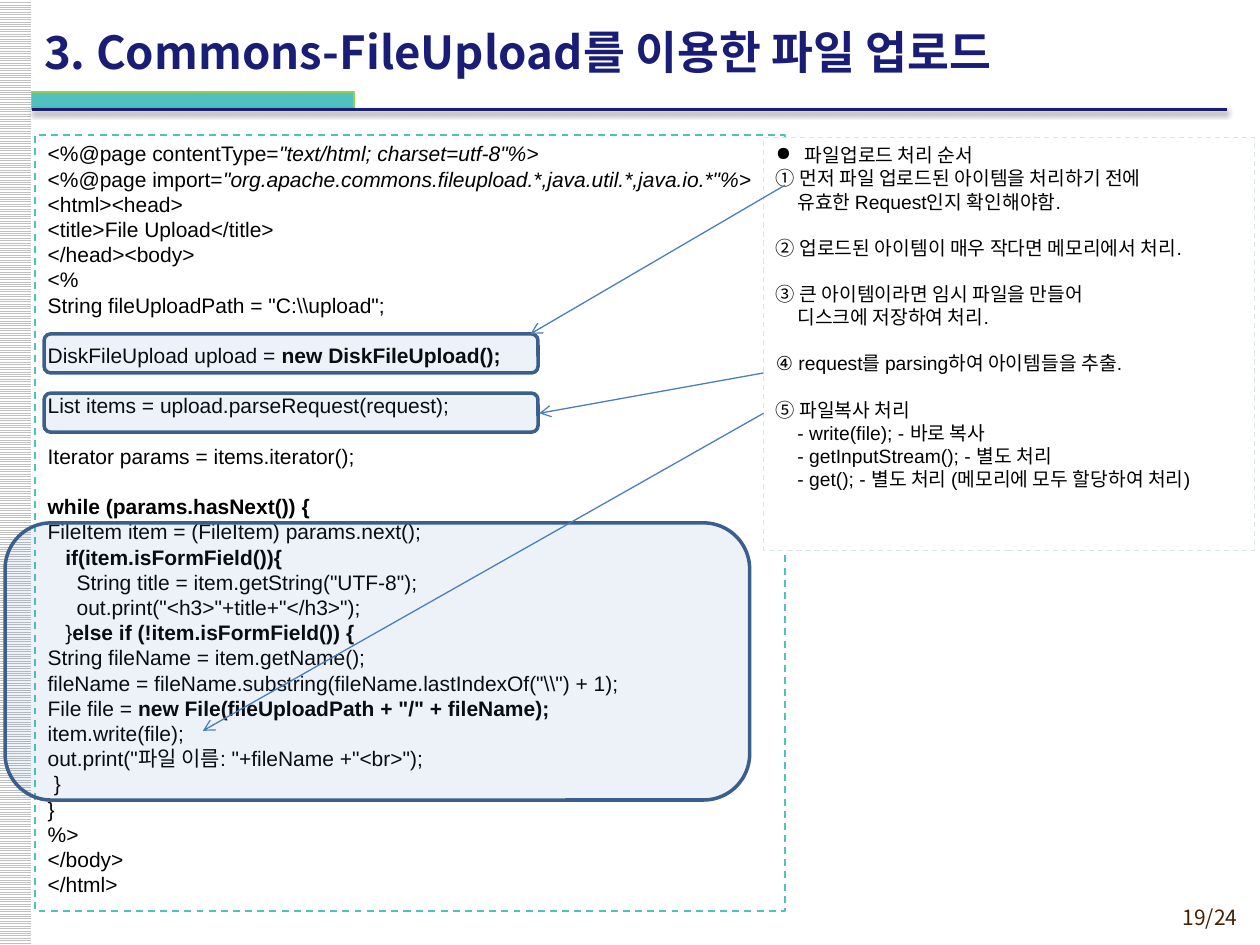
from dataclasses import dataclass

from lxml import etree
from pptx import Presentation
from pptx.dml.color import RGBColor
from pptx.enum.dml import MSO_LINE, MSO_PATTERN
from pptx.enum.shapes import MSO_CONNECTOR, MSO_SHAPE
from pptx.enum.text import MSO_ANCHOR, PP_ALIGN
from pptx.oxml.ns import qn
from pptx.util import Inches, Pt

RECTANGLE, ROUNDED = MSO_SHAPE.RECTANGLE, MSO_SHAPE.ROUNDED_RECTANGLE
STRAIGHT, DASH = MSO_CONNECTOR.STRAIGHT, MSO_LINE.DASH
LIGHT_HORIZONTAL = MSO_PATTERN.LIGHT_HORIZONTAL
LEFT, RIGHT = PP_ALIGN.LEFT, PP_ALIGN.RIGHT
TOP, MIDDLE = MSO_ANCHOR.TOP, MSO_ANCHOR.MIDDLE


@dataclass(frozen=True)
class Theme:
    """Colours, fonts and type sizes of the slide."""
    latin: str = "Arial"
    korean: str = "Noto Sans CJK KR"
    title_size: float = 26
    code_size: float = 12
    note_size: float = 11
    black: str = "000000"
    white: str = "FFFFFF"
    title: str = "191D76"
    rule: str = "191E70"
    number: str = "452103"
    stripe: str = "C0C0C0"
    teal: str = "50C1BE"
    green: str = "92D050"
    pale: str = "D6E7E6"
    highlight: str = "4F81BD"
    outline: str = "3A5F8C"
    arrow: str = "4B7EBC"


@dataclass(frozen=True)
class Line:
    """One paragraph: plain text, an emphasised ending and its layout."""
    plain: str = ""
    bold: str = ""
    italic: str = ""
    indent: float = 0
    gap: bool = False
    bullet: str = ""


THEME = Theme()

CODE = [
    Line("<%@page contentType=", italic='"text/html; charset=utf-8"%>'),
    Line("<%@page import=", italic='"org.apache.commons.fileupload.*,java.util.*,java.io.*"%>'),
    Line("<html><head>"),
    Line("<title>File Upload</title>"),
    Line("</head><body>"),
    Line("<%"),
    Line('String fileUploadPath = "C:\\\\upload";'),
    Line("DiskFileUpload upload = ", bold="new DiskFileUpload();", gap=True),
    Line("List items = upload.parseRequest(request);", gap=True),
    Line("Iterator params = items.iterator();", gap=True),
    Line(bold="while (params.hasNext()) {", gap=True),
    Line("FileItem item = (FileItem) params.next();"),
    Line(bold="if(item.isFormField()){", indent=0.14),
    Line('String title = item.getString("UTF-8");', indent=0.23),
    Line('out.print("<h3>"+title+"</h3>");', indent=0.23),
    Line("}", bold="else if (!item.isFormField()) {", indent=0.14),
    Line("String fileName = item.getName();"),
    Line('fileName = fileName.substring(fileName.lastIndexOf("\\\\") + 1);'),
    Line("File file = ", bold='new File(fileUploadPath + "/" + fileName);'),
    Line("item.write(file);"),
    Line('out.print("파일 이름: "+fileName +"<br>");'),
    Line("}", indent=0.05),
    Line("}"),
    Line("%>"),
    Line("</body>"),
    Line("</html>"),
]

NOTES = [
    Line("파일업로드 처리 순서", indent=0.23, bullet="●"),
    Line("① 먼저 파일 업로드된 아이템을 처리하기 전에"),
    Line("유효한 Request인지 확인해야함.", indent=0.17),
    Line("② 업로드된 아이템이 매우 작다면 메모리에서 처리.", gap=True),
    Line("③ 큰 아이템이라면 임시 파일을 만들어", gap=True),
    Line("디스크에 저장하여 처리.", indent=0.17),
    Line("④ request를 parsing하여 아이템들을 추출.", gap=True),
    Line("⑤ 파일복사 처리", gap=True),
    Line("- write(file); - 바로 복사", indent=0.17),
    Line("- getInputStream(); - 별도 처리", indent=0.17),
    Line("- get(); - 별도 처리 (메모리에 모두 할당하여 처리)", indent=0.17),
]

HIGHLIGHTS = [(0.35, 2.65, 3.92, 0.31), (0.35, 3.12, 3.92, 0.31), (0.04, 4.15, 5.91, 2.2)]
ARROWS = [(6.23, 1.47, 4.21, 2.65), (6.06, 2.96, 4.28, 3.28), (6.06, 3.28, 1.61, 5.8)]


def color(value):
    """Turn a hex string into a colour."""
    return RGBColor.from_string(value)


def add_run(paragraph, text, size, font=THEME.latin, ink=THEME.black, bold=False, italic=False):
    """Add formatted text to a paragraph."""
    run = paragraph.add_run()
    run.text = text
    run.font.name, run.font.size = font, Pt(size)
    run.font.bold, run.font.italic = bold, italic
    run.font.color.rgb = color(ink)
    etree.SubElement(run.font._element, qn("a:ea"), typeface=THEME.korean)


def add_box(slide, box, kind=RECTANGLE, fill=None, alpha=None, line=None, width=1, dash=None):
    """Add a preset shape with its fill and outline."""
    shape = slide.shapes.add_shape(kind, *map(Inches, box))
    shape.shadow.inherit = False
    if fill:
        shape.fill.solid()
        shape.fill.fore_color.rgb = color(fill)
    else:
        shape.fill.background()
    if alpha:
        fill_color = shape.fill._xPr.find(qn("a:solidFill"))[0]
        etree.SubElement(fill_color, qn("a:alpha"), val=str(alpha * 1000))
    if line:
        shape.line.color.rgb = color(line)
        shape.line.width = Pt(width)
        shape.line.dash_style = dash
    else:
        shape.line.fill.background()
    return shape


def add_line(slide, ends, ink, width, arrow=False, shadow=False):
    """Add a straight line, with an open arrowhead or a soft shadow on request."""
    connector = slide.shapes.add_connector(STRAIGHT, *map(Inches, ends))
    connector.line.color.rgb = color(ink)
    connector.line.width = Pt(width)
    if arrow:
        etree.SubElement(connector.line._get_or_add_ln(), qn("a:tailEnd"), type="arrow")
    effects = etree.SubElement(connector._element.spPr, qn("a:effectLst"))
    if shadow:
        outer = etree.SubElement(effects, qn("a:outerShdw"), blurRad=str(Pt(3.1)),
                                 dist=str(Pt(1.6)), dir="5400000", rotWithShape="0")
        shade = etree.SubElement(outer, qn("a:srgbClr"), val=THEME.black)
        etree.SubElement(shade, qn("a:alpha"), val="38000")


def write_lines(shape, lines, size):
    """Fill a shape with evenly spaced lines of text."""
    frame = shape.text_frame
    frame.word_wrap = True
    frame.vertical_anchor = TOP
    pitch = Pt(size * 1.2)
    for index, line in enumerate(lines):
        paragraph = frame.paragraphs[0] if index == 0 else frame.add_paragraph()
        paragraph.alignment = LEFT
        paragraph.line_spacing = pitch
        paragraph.space_before = pitch if line.gap else Pt(0)
        properties = paragraph._p.get_or_add_pPr()
        properties.set("marL", str(Inches(line.indent)))
        properties.set("indent", str(-Inches(line.indent) if line.bullet else 0))
        if line.bullet:
            etree.SubElement(properties, qn("a:buChar"), char=line.bullet)
        for text, style in ((line.plain, {}), (line.bold, {"bold": True}),
                            (line.italic, {"italic": True})):
            if text:
                add_run(paragraph, text, size, **style)


def add_title(slide, text):
    """Place and format the title placeholder."""
    title = slide.shapes.title
    title.left, title.top, title.width, title.height = map(Inches, (0.25, 0.09, 8.85, 0.63))
    title.text_frame.vertical_anchor = MIDDLE
    paragraph = title.text_frame.paragraphs[0]
    paragraph.alignment = LEFT
    add_run(paragraph, text, THEME.title_size, font=THEME.korean, ink=THEME.title, bold=True)


def add_frame(slide):
    """Add the striped margin, the title rule and the page number."""
    margin = add_box(slide, (-0.01, 0, 0.26, 7.5))
    margin.fill.patterned()
    margin.fill.pattern = LIGHT_HORIZONTAL
    margin.fill.fore_color.rgb = color(THEME.stripe)
    margin.fill.back_color.rgb = color(THEME.white)
    add_box(slide, (0.25, 0.73, 2.56, 0.14), fill=THEME.teal, line=THEME.green, width=0.75)
    add_line(slide, (0.25, 0.87, 9.74, 0.87), THEME.rule, 2, shadow=True)
    number = slide.shapes.add_textbox(*map(Inches, (8.86, 7.13, 1.06, 0.29))).text_frame
    number.word_wrap = True
    number.vertical_anchor = MIDDLE
    number.paragraphs[0].alignment = RIGHT
    add_run(number.paragraphs[0], "19/24", THEME.code_size, font=THEME.korean, ink=THEME.number)


def main():
    """Build the slide and save it."""
    presentation = Presentation()
    presentation.slide_width, presentation.slide_height = Inches(10), Inches(7.5)
    slide = presentation.slides.add_slide(presentation.slide_layouts[5])
    add_frame(slide)
    add_title(slide, "3. Commons-FileUpload를 이용한 파일 업로드")
    code = add_box(slide, (0.28, 1.07, 5.95, 6.16), line=THEME.teal, dash=DASH)
    write_lines(code, CODE, THEME.code_size)
    for box in HIGHLIGHTS:
        add_box(slide, box, ROUNDED, THEME.highlight, alpha=10, line=THEME.outline, width=2)
    notes = add_box(slide, (6.06, 1.09, 3.9, 3.28), fill=THEME.white, line=THEME.pale,
                    width=0.75, dash=DASH)
    write_lines(notes, NOTES, THEME.note_size)
    for ends in ARROWS:
        add_line(slide, ends, THEME.arrow, 0.75, arrow=True)
    presentation.save("out.pptx")


if __name__ == "__main__":
    main()
